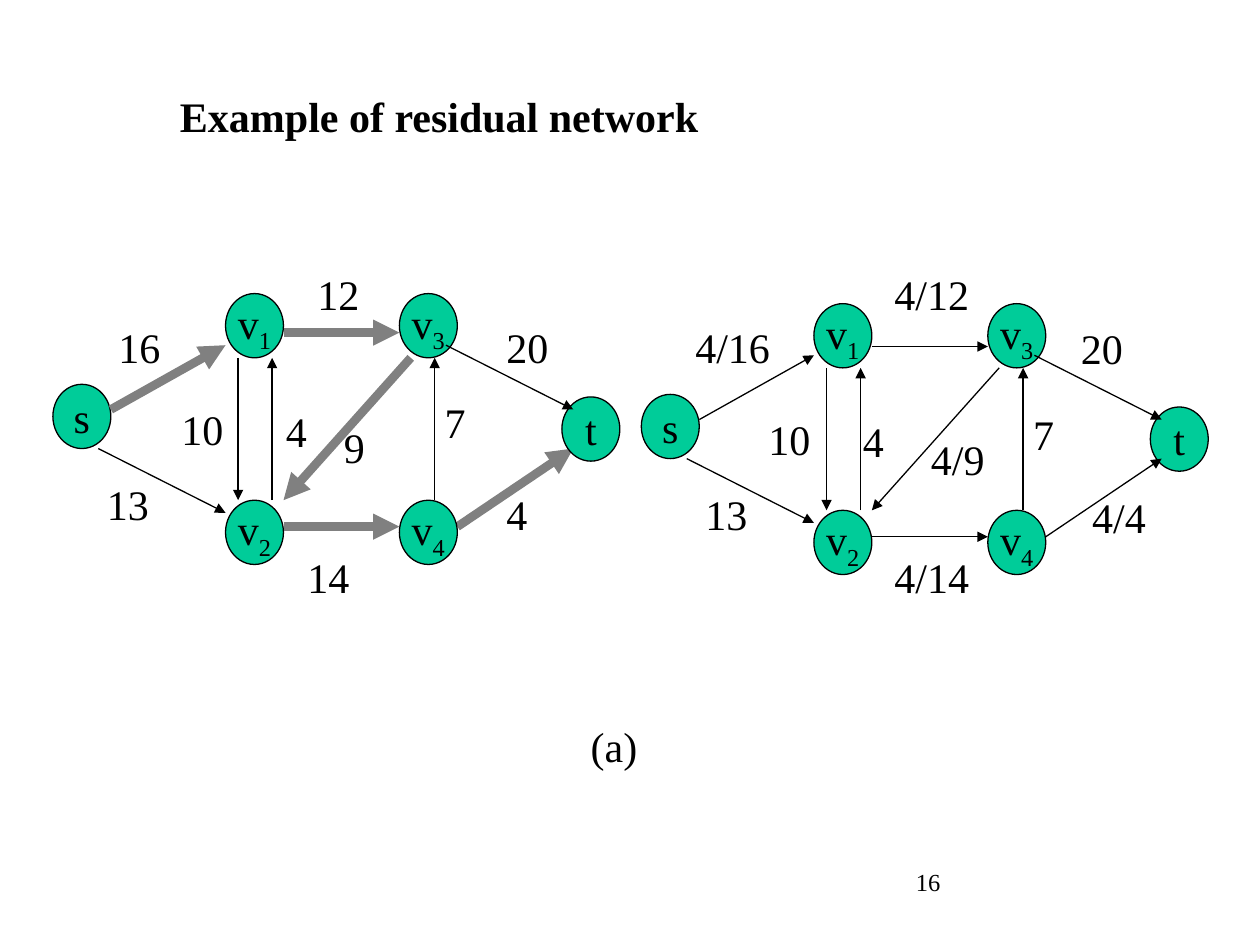
from dataclasses import dataclass

import pptx
import pptx.dml.color
import pptx.enum.shapes
import pptx.enum.text
import pptx.oxml
import pptx.oxml.ns
import pptx.util
from pptx.util import Inches

FONT = "Times New Roman"
BLACK, GRAY, GREEN = "000000", "808080", "00CC99"
NODE_WIDTH, NODE_HEIGHT = 0.46, 0.51
LABEL_HEIGHT = 0.5


@dataclass(frozen=True)
class Node:
    letter: str
    subscript: str
    left: float
    top: float


@dataclass(frozen=True)
class Edge:
    name: str
    start: tuple[float, float]
    end: tuple[float, float]


@dataclass(frozen=True)
class Label:
    text: str
    left: float
    top: float


@dataclass(frozen=True)
class Network:
    left: float
    top: float
    top_edge_y: float
    augmenting_path: frozenset[str]
    edges_behind: frozenset[str]
    labels: tuple[Label, ...]


NODES = (
    Node("s", "", 0.42, 3.05),
    Node("v", "2", 1.79, 3.97),
    Node("v", "4", 3.17, 3.97),
    Node("t", "", 4.46, 3.15),
    Node("v", "3", 3.17, 2.33),
    Node("v", "1", 1.79, 2.33),
)

NETWORKS = (
    Network(
        0, 0, 2.64,
        frozenset({"s-v1", "v1-v3", "v3-v2", "v2-v4", "v4-t"}),
        frozenset({"v4-t"}),
        (
            Label("20", 3.92, 2.5), Label("7", 3.43, 3.1), Label("9", 2.63, 3.3),
            Label("16", 0.84, 2.5), Label("13", 0.75, 3.75), Label("12", 2.42, 2.08),
            Label("10", 1.34, 3.15), Label("4", 2.17, 3.17), Label("4", 3.92, 3.83),
            Label("14", 2.34, 4.33),
        ),
    ),
    Network(
        4.67, 0.08, 2.67,
        frozenset(),
        frozenset(),
        (
            Label("20", 8.48, 2.51), Label("7", 8.1, 3.19), Label("4/9", 7.29, 3.39),
            Label("4/16", 5.42, 2.5), Label("13", 5.5, 3.83), Label("4/12", 7, 2.08),
            Label("10", 6, 3.23), Label("4", 6.75, 3.25), Label("4/4", 8.57, 3.85),
            Label("4/14", 7, 4.33),
        ),
    ),
)


def color(value: str) -> pptx.dml.color.RGBColor:
    return pptx.dml.color.RGBColor.from_string(value)


def format_runs(paragraph, size: float = 24, bold: bool = False) -> None:
    for run in paragraph.runs:
        run.font.name = FONT
        run.font.size = pptx.util.Pt(size)
        run.font.bold = bold
        run.font.color.rgb = color(BLACK)


def add_text(slide, text: str, left: float, top: float, width: float,
             size: float = 24, bold: bool = False, wrap: bool = False):
    box = slide.shapes.add_textbox(
        Inches(left), Inches(top), Inches(width), Inches(LABEL_HEIGHT))
    box.text_frame.text = text
    box.text_frame.word_wrap = wrap
    paragraph = box.text_frame.paragraphs[0]
    format_runs(paragraph, size, bold)
    return paragraph


def add_label(slide, label: Label) -> None:
    slashes = label.text.count("/")
    digits = len(label.text) - slashes
    width = 0.2 + digits / 6 + slashes * 0.09
    add_text(slide, label.text, label.left, label.top, width)


def add_node(slide, node: Node, network: Network) -> None:
    shape = slide.shapes.add_shape(
        pptx.enum.shapes.MSO_SHAPE.OVAL,
        Inches(network.left + node.left), Inches(network.top + node.top),
        Inches(NODE_WIDTH), Inches(NODE_HEIGHT))
    shape.shadow.inherit = False
    shape.fill.solid()
    shape.fill.fore_color.rgb = color(GREEN)
    shape.line.color.rgb = color(BLACK)
    shape.line.width = pptx.util.Pt(0.75)
    shape.text_frame.word_wrap = False
    shape.text_frame.vertical_anchor = pptx.enum.text.MSO_ANCHOR.MIDDLE
    paragraph = shape.text_frame.paragraphs[0]
    paragraph.text = node.letter
    paragraph.alignment = pptx.enum.text.PP_ALIGN.CENTER
    if node.subscript:
        run = paragraph.add_run()
        run.text = node.subscript
        run._r.get_or_add_rPr().set("baseline", "-25000")
    format_runs(paragraph)


def add_edge(slide, edge: Edge, network: Network) -> None:
    highlighted = edge.name in network.augmenting_path
    (start_x, start_y), (end_x, end_y) = edge.start, edge.end
    connector = slide.shapes.add_connector(
        pptx.enum.shapes.MSO_CONNECTOR.STRAIGHT,
        Inches(network.left + start_x), Inches(network.top + start_y),
        Inches(network.left + end_x), Inches(network.top + end_y))
    connector.line.color.rgb = color(GRAY if highlighted else BLACK)
    connector.line.width = pptx.util.Pt(5 if highlighted else 0.75)
    line = connector.line._get_or_add_ln()
    arrowhead = pptx.oxml.parse_xml(
        f'<a:tailEnd {pptx.oxml.ns.nsdecls("a")} type="triangle"/>')
    line.append(arrowhead)
    effects = pptx.oxml.parse_xml(f'<a:effectLst {pptx.oxml.ns.nsdecls("a")}/>')
    connector._element.spPr.append(effects)


def network_edges(network: Network) -> tuple[Edge, ...]:
    return (
        Edge("s-v1", (0.88, 3.25), (1.79, 2.74)),
        Edge("v1-v3", (2.25, network.top_edge_y), (3.17, network.top_edge_y)),
        Edge("v3-t", (3.54, 2.74), (4.55, 3.25)),
        Edge("s-v2", (0.78, 3.56), (1.79, 4.07)),
        Edge("v2-v4", (2.25, 4.18), (3.17, 4.18)),
        Edge("v4-t", (3.63, 4.18), (4.55, 3.56)),
        Edge("v1-v2", (1.89, 2.84), (1.89, 3.97)),
        Edge("v2-v1", (2.16, 3.97), (2.16, 2.84)),
        Edge("v4-v3", (3.45, 3.97), (3.45, 2.84)),
        Edge("v3-v2", (3.26, 2.84), (2.25, 3.97)),
    )


def add_network(slide, network: Network) -> None:
    edges = network_edges(network)
    for edge in edges:
        if edge.name in network.edges_behind:
            add_edge(slide, edge, network)
    for node in NODES:
        add_node(slide, node, network)
    for edge in edges:
        if edge.name not in network.edges_behind:
            add_edge(slide, edge, network)
    for label in network.labels:
        add_label(slide, label)


def main() -> None:
    presentation = pptx.Presentation()
    presentation.slide_width = Inches(10)
    presentation.slide_height = Inches(7.5)
    slide = presentation.slides.add_slide(presentation.slide_layouts[6])
    add_text(slide, "16", 7.17, 6.83, 2.08, size=14, wrap=True)
    for network in NETWORKS:
        add_network(slide, network)
    add_text(slide, "(a)", 4.59, 5.67, 0.57)
    title = add_text(slide, "Example of residual network", 1.33, 0.67, 7,
                     bold=True, wrap=True)
    title.space_before = pptx.util.Pt(15)
    presentation.save("out.pptx")


if __name__ == "__main__":
    main()
